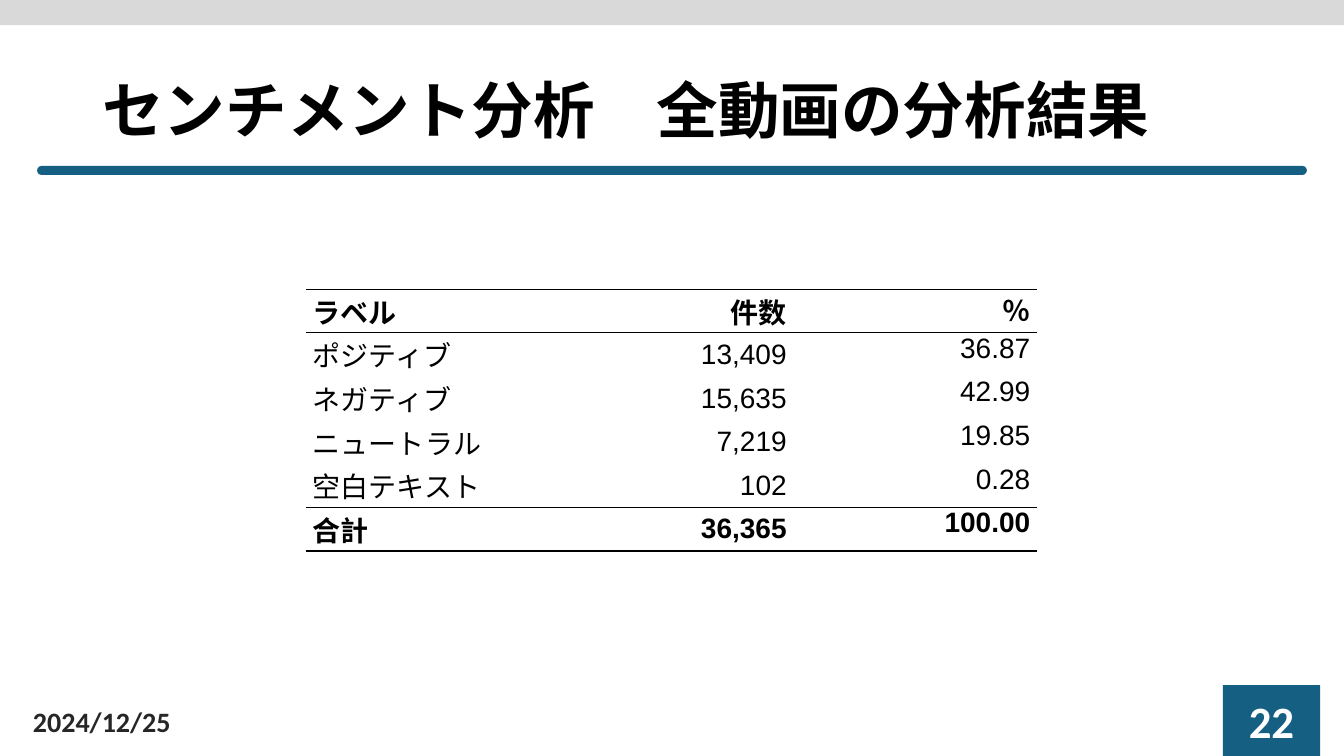
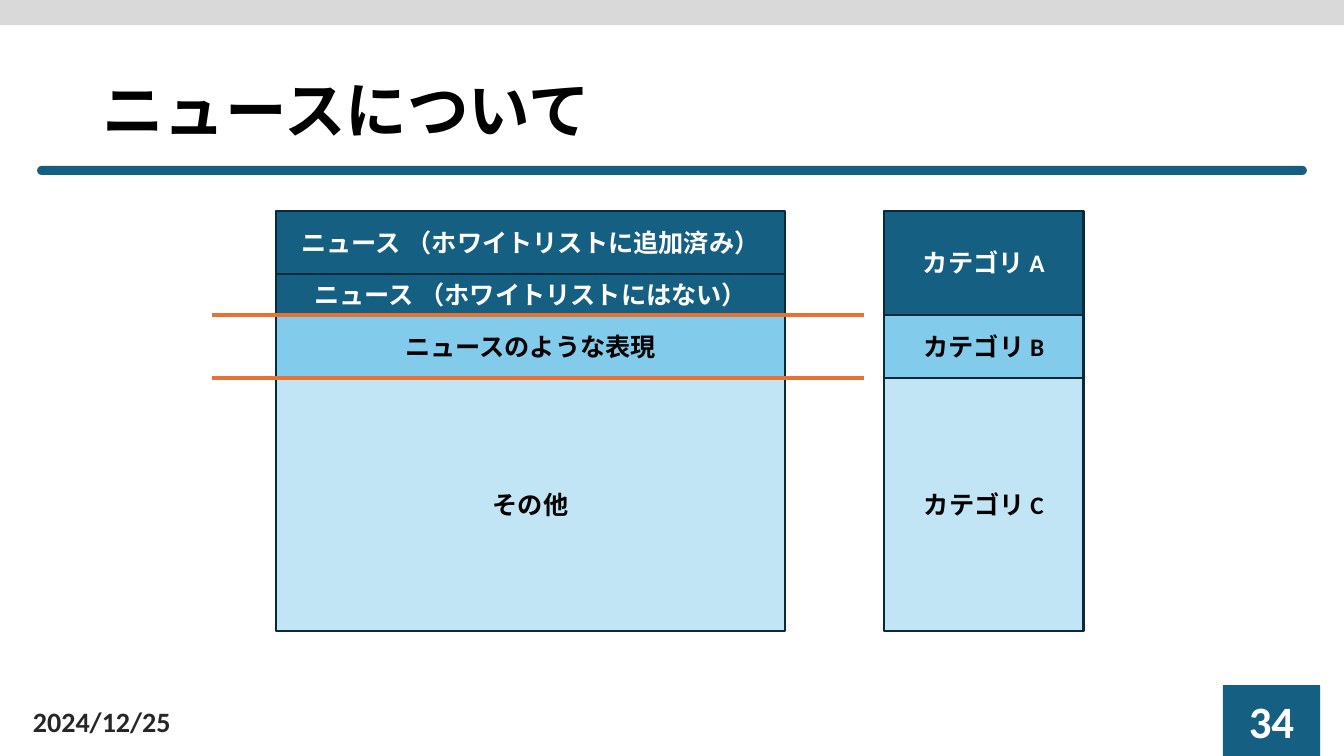
from dataclasses import dataclass

import pptx
import pptx.dml.color
import pptx.enum.shapes
import pptx.enum.text
import pptx.oxml
import pptx.oxml.ns
import pptx.slide
import pptx.table
import pptx.text.text
import pptx.util

Pt = pptx.util.Pt
Slide = pptx.slide.Slide
Align = pptx.enum.text.PP_ALIGN
Anchor = pptx.enum.text.MSO_ANCHOR
Kind = pptx.enum.shapes.MSO_SHAPE

BLUE, SKY, PALE = "156082", "83CBEB", "C1E5F5"
EDGE, ORANGE, GRAY = "092A39", "E97132", "D9D9D9"
BLACK, WHITE, DARK = "000000", "FFFFFF", "262626"
DATE = "2024/12/25"


@dataclass
class Area:
    left: float
    top: float
    width: float
    height: float

    def emu(self) -> tuple:
        return Pt(self.left), Pt(self.top), Pt(self.width), Pt(self.height)


@dataclass
class Block:
    text: str
    height: float
    fill: str
    ink: str = BLACK


def color(code: str) -> pptx.dml.color.RGBColor:
    return pptx.dml.color.RGBColor.from_string(code)


def write(frame: pptx.text.text.TextFrame, text: str, *, size: float,
          ink: str = BLACK, bold: bool = True, font: str = "Calibri",
          align: Align = Align.LEFT, lead: float | None = None,
          after: float | None = None) -> None:
    para = frame.paragraphs[0]
    para.alignment = align
    if lead:
        para.line_spacing = lead
    if after:
        para.space_after = Pt(after)
    run = para.add_run()
    run.text = text
    run.font.name, run.font.size, run.font.bold = font, Pt(size), bold
    run.font.color.rgb = color(ink)


def label(slide: Slide, area: Area, text: str, **style) -> None:
    frame = slide.shapes.add_textbox(*area.emu()).text_frame
    frame.word_wrap = True
    frame.vertical_anchor = Anchor.MIDDLE
    write(frame, text, **style)


def panel(slide: Slide, area: Area, fill: str, *, text: str = "",
          edge: str = "", kind: Kind = Kind.RECTANGLE, **style) -> None:
    shape = slide.shapes.add_shape(kind, *area.emu())
    shape.shadow.inherit = False
    shape.fill.solid()
    shape.fill.fore_color.rgb = color(fill)
    if edge:
        shape.line.color.rgb = color(edge)
        shape.line.width = Pt(1.5)
    else:
        shape.line.fill.background()
    if kind == Kind.ROUNDED_RECTANGLE:
        shape.adjustments[0] = 0.5
    if text:
        shape.text_frame.vertical_anchor = Anchor.MIDDLE
        write(shape.text_frame, text, align=Align.CENTER, **style)


def rule(slide: Slide, left: float, right: float, top: float) -> None:
    line = slide.shapes.add_connector(
        pptx.enum.shapes.MSO_CONNECTOR.STRAIGHT,
        Pt(left), Pt(top), Pt(right), Pt(top))
    line.line.color.rgb = color(ORANGE)
    line.line.width = Pt(3)
    props = line._element.spPr
    props.append(props.makeelement(pptx.oxml.ns.qn("a:effectLst"), {}))


def stack(slide: Slide, left: float, top: float, width: float,
          blocks: list[Block]) -> None:
    """Place the blocks one under the other without gaps."""
    for block in blocks:
        panel(slide, Area(left, top, width, block.height), block.fill,
              text=block.text, edge=EDGE, size=18, ink=block.ink)
        top += block.height


def border(cell: pptx.table._Cell, sides: str) -> None:
    """Draw the given sides (of L, R, T, B) and clear the others."""
    props = cell._tc.get_or_add_tcPr()
    for side in "LRTB":
        paint = "<a:noFill/>"
        if side in sides:
            paint = f'<a:solidFill><a:srgbClr val="{BLACK}"/></a:solidFill>'
        props.append(pptx.oxml.parse_xml(
            f'<a:ln{side} {pptx.oxml.ns.nsdecls("a")} w="{Pt(1)}">'
            f'{paint}</a:ln{side}>'))


def table(slide: Slide, area: Area, widths: list[float],
          rows: list[tuple[str, ...]]) -> None:
    grid = slide.shapes.add_table(len(rows), len(widths), *area.emu()).table
    grid.first_row = grid.horz_banding = False
    for column, width in zip(grid.columns, widths):
        column.width = Pt(width)
    last = len(rows) - 1
    for r, row in enumerate(rows):
        grid.rows[r].height = Pt(area.height / len(rows))
        sides = ("T" if r in (0, 1, last) else "") + (
            "B" if r in (0, last - 1, last) else "")
        for c, text in enumerate(row):
            cell = grid.cell(r, c)
            border(cell, sides)
            cell.fill.background()
            cell.margin_left = cell.margin_right = Pt(5)
            cell.margin_top = cell.margin_bottom = 0
            cell.vertical_anchor = Anchor.MIDDLE if c < 2 else Anchor.TOP
            write(cell.text_frame, text, size=20, font="Arial",
                  bold=r in (0, last), after=8,
                  align=Align.RIGHT if c else Align.LEFT)


def start(deck, title: str, page: int) -> Slide:
    """Add a slide with the shared band, title, rule and footer."""
    slide = deck.slides.add_slide(deck.slide_layouts[6])
    panel(slide, Area(0, 0, 960, 18), GRAY)
    label(slide, Area(66, 29, 828, 104), title, size=44, lead=0.9)
    label(slide, Area(16.5, 500.5, 216, 29), DATE, size=20, ink=DARK)
    panel(slide, Area(873.5, 489.5, 69.5, 50.5), BLUE, text=str(page),
          size=32, ink=WHITE)
    panel(slide, Area(26.5, 118.5, 907, 6.5), BLUE,
          kind=Kind.ROUNDED_RECTANGLE)
    return slide


def result(deck) -> None:
    slide = start(deck, "センチメント分析　全動画の分析結果", 22)
    table(slide, Area(218.5, 206.5, 522.5, 187.2), [241, 107.5, 174], [
        ("ラベル", "件数", "％"),
        ("ポジティブ", "13,409", "36.87"),
        ("ネガティブ", "15,635", "42.99"),
        ("ニュートラル", "7,219", "19.85"),
        ("空白テキスト", "102", "0.28"),
        ("合計", "36,365", "100.00"),
    ])


def news(deck) -> None:
    slide = start(deck, "ニュースについて", 34)
    top, added, other, like, rest = 150.5, 45, 29.5, 45, 180.5
    stack(slide, 197.5, top, 363, [
        Block("ニュース （ホワイトリストに追加済み）", added, BLUE, WHITE),
        Block("ニュース （ホワイトリストにはない）", other, BLUE, WHITE),
        Block("ニュースのような表現", like, SKY),
        Block("その他", rest, PALE),
    ])
    split = top + added + other
    for level in (split, split + like):
        rule(slide, 151.5, 617, level)
    stack(slide, 631.5, top, 142.5, [
        Block("カテゴリ A", added + other, BLUE, WHITE),
        Block("カテゴリ B", like, SKY),
        Block("カテゴリ C", rest, PALE),
    ])


def main() -> None:
    deck = pptx.Presentation()
    deck.slide_width, deck.slide_height = Pt(960), Pt(540)
    result(deck)
    news(deck)
    deck.save("out.pptx")


if __name__ == "__main__":
    main()
